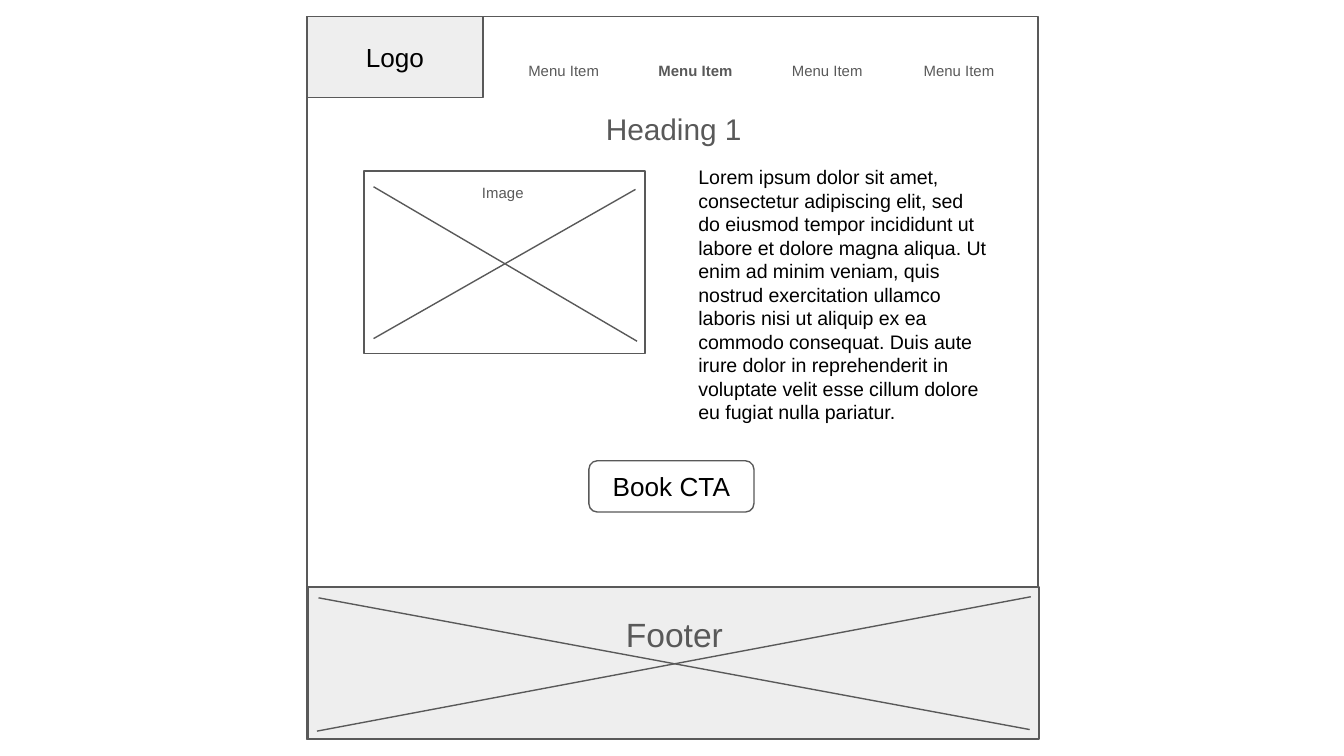
from dataclasses import dataclass
from typing import Optional

from lxml import etree
from pptx import Presentation
from pptx import util as u
from pptx.dml.color import RGBColor
from pptx.enum import shapes, text
from pptx.oxml import ns

GREY = RGBColor(0x59, 0x59, 0x59)
PALE = RGBColor(0xEE, 0xEE, 0xEE)
WHITE = RGBColor(0xFF, 0xFF, 0xFF)
BLACK = RGBColor(0, 0, 0)
FONT = "Arial"
INSET = u.Cm(0.25)
RECT = shapes.MSO_SHAPE.RECTANGLE
ROUNDED = shapes.MSO_SHAPE.ROUNDED_RECTANGLE
LEFT, CENTER = text.PP_ALIGN.LEFT, text.PP_ALIGN.CENTER
TOP, MIDDLE = text.MSO_ANCHOR.TOP, text.MSO_ANCHOR.MIDDLE

LOREM = (
    "Lorem ipsum dolor sit amet, consectetur adipiscing elit, sed do eiusmod "
    "tempor incididunt ut labore et dolore magna aliqua. Ut enim ad minim veniam, "
    "quis nostrud exercitation ullamco laboris nisi ut aliquip ex ea commodo "
    "consequat. Duis aute irure dolor in reprehenderit in voluptate velit esse "
    "cillum dolore eu fugiat nulla pariatur."
)


@dataclass(frozen=True)
class Area:
    left: float
    top: float
    width: float
    height: float

    def lengths(self) -> list[u.Length]:
        return [u.Cm(v) for v in (self.left, self.top, self.width, self.height)]


@dataclass(frozen=True)
class Copy:
    words: str
    size: float
    color: RGBColor = GREY
    align: text.PP_ALIGN = LEFT
    bold: bool = False


@dataclass(frozen=True)
class Stroke:
    x1: float
    y1: float
    x2: float
    y2: float


def write(frame, copy: Copy, anchor: text.MSO_ANCHOR) -> None:
    frame.word_wrap = True
    frame.vertical_anchor = anchor
    frame.margin_left = frame.margin_right = INSET
    frame.margin_top = frame.margin_bottom = INSET
    paragraph = frame.paragraphs[0]
    paragraph.alignment = copy.align
    run = paragraph.add_run()
    run.text = copy.words
    run.font.name = FONT
    run.font.size = u.Pt(copy.size)
    run.font.bold = copy.bold
    run.font.color.rgb = copy.color


def draw_block(slide, area: Area, fill: RGBColor = WHITE, line: RGBColor = GREY,
               copy: Optional[Copy] = None, outline: shapes.MSO_SHAPE = RECT) -> None:
    block = slide.shapes.add_shape(outline, *area.lengths())
    block.shadow.inherit = False
    block.fill.solid()
    block.fill.fore_color.rgb = fill
    block.line.color.rgb = line
    block.line.width = u.Pt(0.75)
    if copy:
        write(block.text_frame, copy, MIDDLE)


def draw_label(slide, area: Area, copy: Copy) -> None:
    label = slide.shapes.add_textbox(*area.lengths())
    write(label.text_frame, copy, TOP)
    label.text_frame.auto_size = text.MSO_AUTO_SIZE.SHAPE_TO_FIT_TEXT


def draw_cross(slide, strokes: list[Stroke]) -> None:
    for s in strokes:
        diagonal = slide.shapes.add_connector(
            shapes.MSO_CONNECTOR.STRAIGHT,
            u.Cm(s.x1), u.Cm(s.y1), u.Cm(s.x2), u.Cm(s.y2))
        diagonal.line.color.rgb = GREY
        diagonal.line.width = u.Pt(0.75)
        etree.SubElement(diagonal._element.spPr, ns.qn("a:effectLst"))


def main() -> None:
    deck = Presentation()
    deck.slide_width, deck.slide_height = u.Cm(25.4), u.Cm(14.29)
    slide = deck.slides.add_slide(deck.slide_layouts[6])

    draw_block(slide, Area(5.8, 0.31, 13.82, 13.67))
    draw_block(slide, Area(5.8, 0.31, 3.33, 1.53), PALE,
               copy=Copy("Logo", 14, BLACK, CENTER))

    for item in range(4):
        draw_label(slide, Area(9.7 + 2.49 * item, 0.99, 1.91, 0.86),
                   Copy("Menu Item", 8, align=CENTER, bold=item == 1))

    draw_label(slide, Area(11.2, 1.85, 3.13, 1.19), Copy("Heading 1", 16))
    draw_block(slide, Area(12.95, 3.05, 5.99, 5.03), line=WHITE,
               copy=Copy(LOREM, 10.5, BLACK))

    draw_block(slide, Area(6.88, 3.23, 5.31, 3.45))
    draw_cross(slide, [Stroke(7.06, 6.4, 12.01, 3.58),
                       Stroke(7.06, 3.53, 12.04, 6.45)])
    draw_label(slide, Area(8.86, 3.3, 1.33, 0.86), Copy("Image", 8))

    draw_block(slide, Area(5.82, 11.1, 13.82, 2.87), PALE)
    draw_label(slide, Area(11.58, 11.35, 2.4, 1.27), Copy("Footer", 18))
    draw_cross(slide, [Stroke(6.02, 11.3, 19.46, 13.79),
                       Stroke(19.48, 11.28, 5.99, 13.82)])

    draw_block(slide, Area(11.13, 8.71, 3.12, 0.97),
               copy=Copy("Book CTA", 14, BLACK, CENTER), outline=ROUNDED)

    deck.save("out.pptx")


if __name__ == "__main__":
    main()
